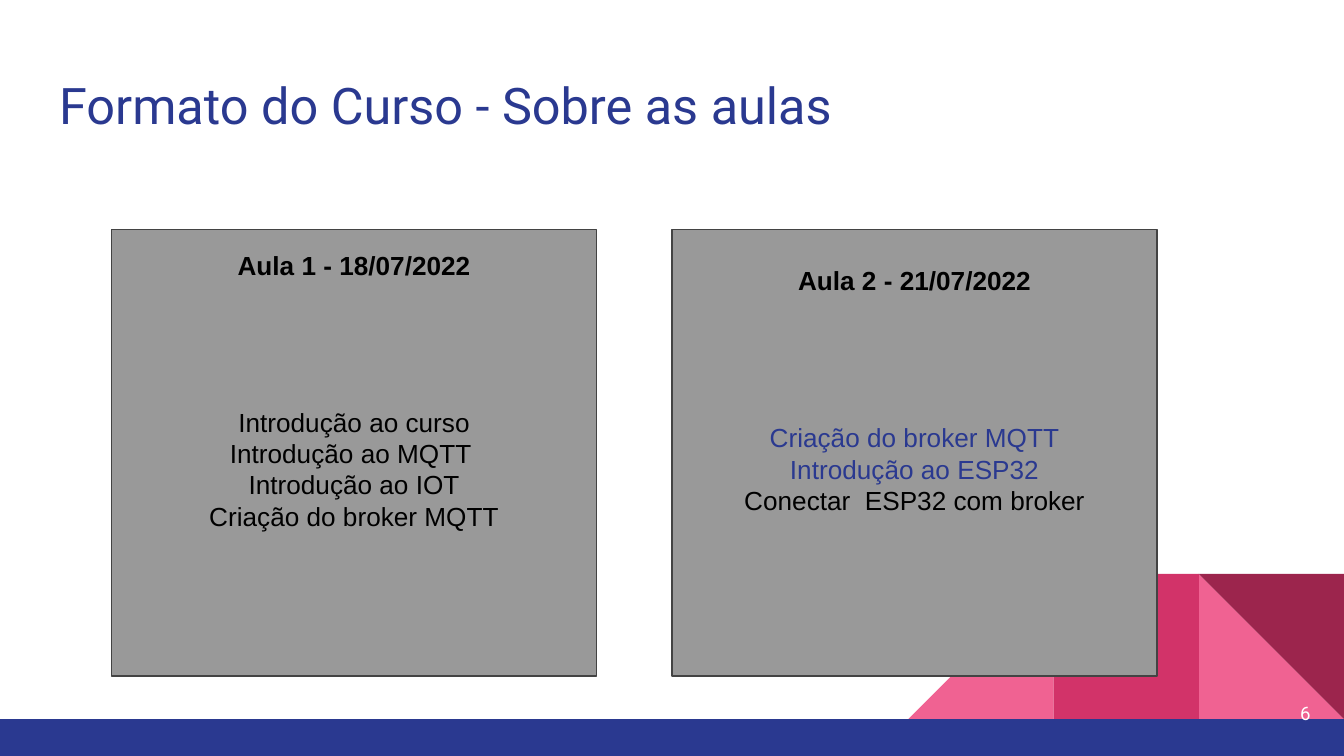
from dataclasses import dataclass

from pptx import Presentation
from pptx.dml.color import RGBColor
from pptx.enum.shapes import MSO_SHAPE
from pptx.enum.text import MSO_ANCHOR, PP_ALIGN
from pptx.util import Inches, Pt


@dataclass(frozen=True)
class Theme:
    navy: RGBColor = RGBColor.from_string("2A3990")
    pink: RGBColor = RGBColor.from_string("F06292")
    rose: RGBColor = RGBColor.from_string("D23369")
    wine: RGBColor = RGBColor.from_string("9C254D")
    gray: RGBColor = RGBColor.from_string("999999")
    outline: RGBColor = RGBColor.from_string("434343")
    black: RGBColor = RGBColor.from_string("000000")
    white: RGBColor = RGBColor.from_string("FFFFFF")
    heading_font: str = "Roboto"
    body_font: str = "Arial"
    title_size: float = 27
    body_size: float = 14
    number_size: float = 10
    line_pitch: float = 16.8


THEME = Theme()


def add_block(page, kind, left, top, width, height, color):
    block = page.shapes.add_shape(
        kind, Inches(left), Inches(top), Inches(width), Inches(height)
    )
    block.shadow.inherit = False
    block.fill.solid()
    block.fill.fore_color.rgb = color
    block.line.fill.background()
    return block


def style_paragraph(para, font_name, size, color, align, bold=False):
    para.alignment = align
    para.font.name = font_name
    para.font.size = Pt(size)
    para.font.color.rgb = color
    para.font.bold = bold


def set_insets(frame, inset=0.1):
    frame.margin_left = frame.margin_right = Inches(inset)
    frame.margin_top = frame.margin_bottom = Inches(inset)
    frame.word_wrap = True


def add_footer(page, left, top, width, height):
    side = 1.08
    bar_top = top + side
    first, second, third = (left + width - side * count for count in (3, 2, 1))
    triangle = MSO_SHAPE.RIGHT_TRIANGLE
    add_block(page, triangle, third, top, side, side, THEME.pink)
    mirrored = add_block(page, triangle, first, top, side, side, THEME.pink)
    mirrored.element.spPr.xfrm.set("flipH", "1")
    add_block(page, MSO_SHAPE.RECTANGLE, second, top, side, side, THEME.rose)
    turned = add_block(page, triangle, third, top, side, side, THEME.wine)
    turned.rotation = 180
    add_block(page, MSO_SHAPE.RECTANGLE, left, bar_top, width, height - side, THEME.navy)


def add_title(page, left, top, width, height, text):
    title = page.shapes.title
    title.left, title.top = Inches(left), Inches(top)
    title.width, title.height = Inches(width), Inches(height)
    frame = title.text_frame
    set_insets(frame)
    frame.vertical_anchor = MSO_ANCHOR.TOP
    frame.text = text
    style_paragraph(
        frame.paragraphs[0], THEME.heading_font, THEME.title_size, THEME.navy, PP_ALIGN.LEFT
    )


def add_lesson(page, left, top, width, height, heading, topics):
    card = add_block(page, MSO_SHAPE.RECTANGLE, left, top, width, height, THEME.gray)
    card.line.color.rgb = THEME.outline
    card.line.width = Pt(0.75)
    frame = card.text_frame
    set_insets(frame)
    frame.vertical_anchor = MSO_ANCHOR.TOP
    gap_lines = 4
    line_count = 1 + 2 * gap_lines + len(topics)
    frame.margin_top = int((Inches(height) - Pt(line_count * THEME.line_pitch)) / 2)

    rows = [(heading, THEME.black), *topics]
    for index, (text, color) in enumerate(rows):
        para = frame.paragraphs[0] if index == 0 else frame.add_paragraph()
        para.text = text
        para.line_spacing = Pt(THEME.line_pitch)
        if index == 1:
            para.space_before = Pt(gap_lines * THEME.line_pitch)
        style_paragraph(
            para, THEME.body_font, THEME.body_size, color, PP_ALIGN.CENTER, bold=index == 0
        )


def add_page_number(page, left, top, width, height, number):
    box = page.shapes.add_textbox(Inches(left), Inches(top), Inches(width), Inches(height))
    frame = box.text_frame
    set_insets(frame)
    frame.vertical_anchor = MSO_ANCHOR.MIDDLE
    frame.text = number
    style_paragraph(
        frame.paragraphs[0], THEME.heading_font, THEME.number_size, THEME.white, PP_ALIGN.RIGHT
    )


def main():
    deck = Presentation()
    deck.slide_width = Inches(10)
    deck.slide_height = deck.slide_width * 9 // 16
    page = deck.slides.add_slide(deck.slide_layouts[5])

    add_footer(page, 0, 4.27, 10, 1.36)
    add_title(page, 0.34, 0.45, 9.32, 0.66, "Formato do Curso - Sobre as aulas")
    lessons = [
        ("Aula 1 - 18/07/2022", [
            ("Introdução ao curso", THEME.black),
            ("Introdução ao MQTT ", THEME.black),
            ("Introdução ao IOT", THEME.black),
            ("Criação do broker MQTT", THEME.black),
        ]),
        ("Aula 2 - 21/07/2022", [
            ("Criação do broker MQTT", THEME.navy),
            ("Introdução ao ESP32", THEME.navy),
            ("Conectar  ESP32 com broker", THEME.black),
        ]),
    ]
    for column, (heading, topics) in enumerate(lessons):
        add_lesson(page, 0.83 + column * 4.17, 1.71, 3.61, 3.32, heading, topics)
    add_page_number(page, 9.25, 5.09, 0.6, 0.43, "6")

    deck.save("out.pptx")


if __name__ == "__main__":
    main()
